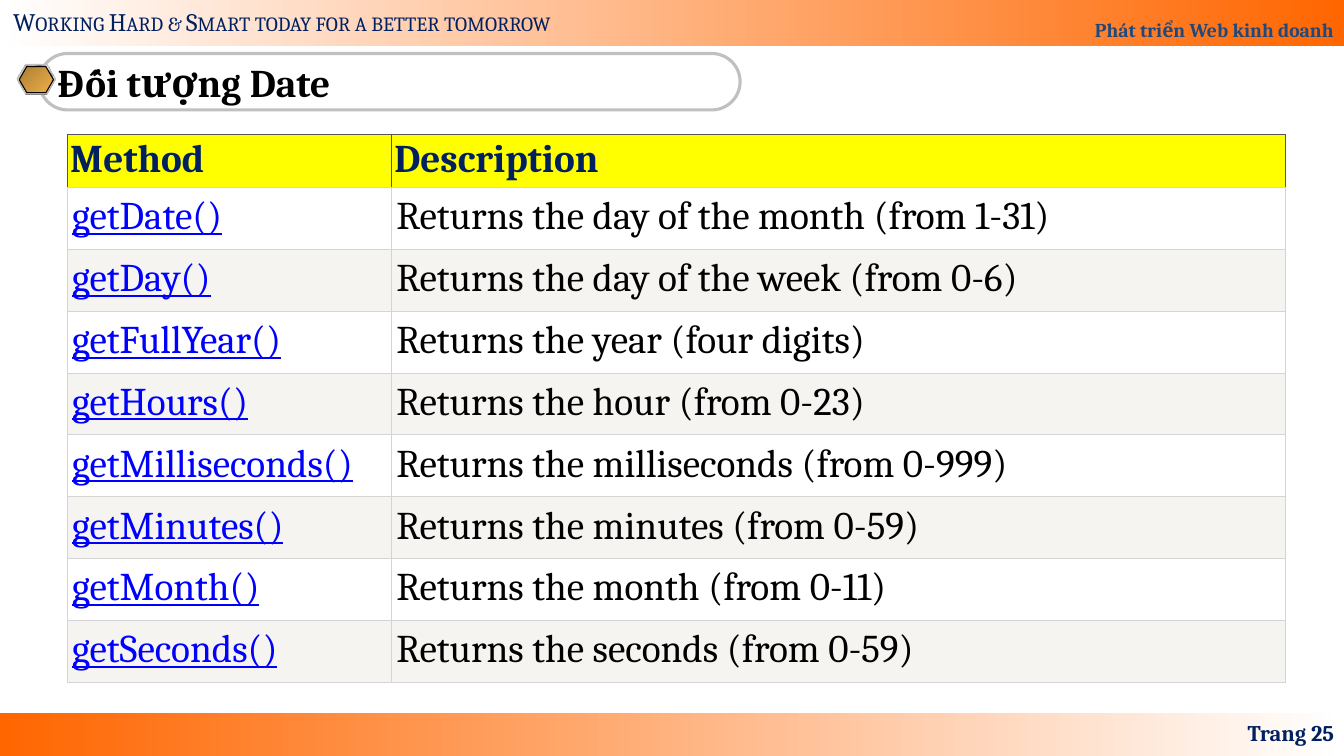
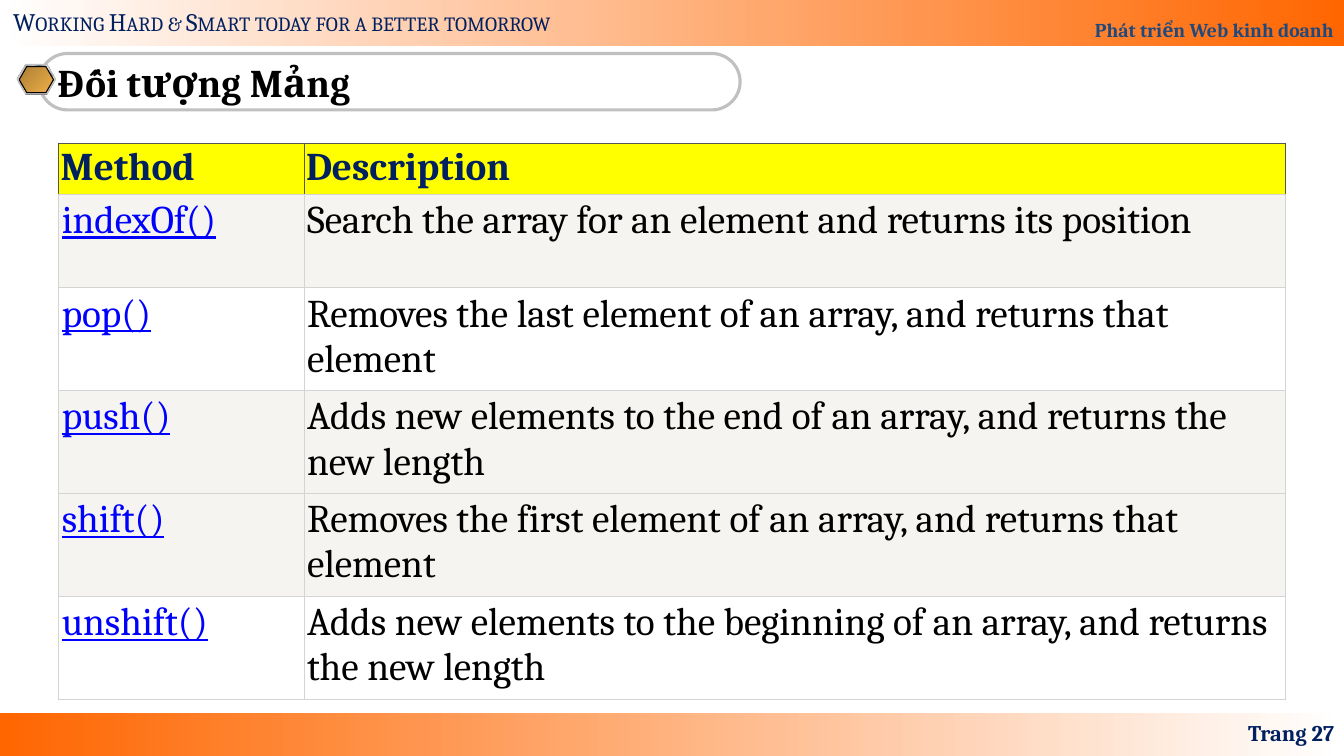
from pptx import Presentation
from pptx.dml.color import RGBColor
from pptx.enum.shapes import MSO_SHAPE as Preset
from pptx.enum.text import MSO_ANCHOR as Anchor, PP_ALIGN as Align
from pptx.oxml.ns import qn
from pptx.util import Inches, Pt
from lxml.etree import SubElement

SLIDE_WIDTH, SLIDE_HEIGHT = Inches(13.33), Inches(7.5)
FONT = "Cambria"
COLORS = {
    "white": "FFFFFF", "orange": "FF6600", "black": "000000",
    "navy": "002060", "blue": "1F497D", "link": "0000FF",
    "yellow": "FFFF00", "cream": "F6F4F0", "grid": "D4D4D4",
    "header_grid": "555555", "silver": "C0C0C0", "gray": "808080",
    "light_steel": "E6E6E6", "steel": "7D8496",
    "bronze": "AB7E34", "gold": "EFB049",
}
STEEL_STOPS = [
    (0, "light_steel"), (7, "steel"), (26, "light_steel"), (34, "steel"),
    (46, "light_steel"), (50, "white"), (54, "light_steel"), (66, "steel"),
    (74, "light_steel"), (93, "steel"), (100, "light_steel"),
]
DATE_METHODS = [
    ("getDate()", "Returns the day of the month (from 1-31)", "white"),
    ("getDay()", "Returns the day of the week (from 0-6)", "cream"),
    ("getFullYear()", "Returns the year (four digits)", "white"),
    ("getHours()", "Returns the hour (from 0-23)", "cream"),
    ("getMilliseconds()", "Returns the milliseconds (from 0-999)", "white"),
    ("getMinutes()", "Returns the minutes (from 0-59)", "cream"),
    ("getMonth()", "Returns the month (from 0-11)", "white"),
    ("getSeconds()", "Returns the seconds (from 0-59)", "cream"),
]
ARRAY_METHODS = [
    ("indexOf()", "Search the array for an element and returns its position", "cream"),
    ("pop()", "Removes the last element of an array, and returns that element", "white"),
    ("push()", "Adds new elements to the end of an array, and returns the new length", "cream"),
    ("shift()", "Removes the first element of an array, and returns that element", "cream"),
    ("unshift()", "Adds new elements to the beginning of an array, and returns the new length", "white"),
]


def color(name):
    return RGBColor.from_string(COLORS[name])


def across(percent):
    return round(SLIDE_WIDTH * percent / 100)


def down(percent):
    return round(SLIDE_HEIGHT * percent / 100)


def box(left, top, width, height):
    return across(left), down(top), across(width), down(height)


def add_run(paragraph, text, size, color_name, bold=False, underline=False):
    run = paragraph.add_run()
    run.text = text
    run.font.name = FONT
    run.font.size = Pt(size)
    run.font.bold = bold
    run.font.underline = underline
    run.font.color.rgb = color(color_name)
    return run


def fill_gradient(shape, stops, angle=0):
    shape.fill.gradient()
    shape.fill.gradient_angle = (360 - angle) % 360
    stop_list = shape.element.spPr.find(qn("a:gradFill")).find(qn("a:gsLst"))
    for stop in list(stop_list):
        stop_list.remove(stop)
    for position, name in stops:
        stop = SubElement(stop_list, qn("a:gs"), pos=str(position * 1000))
        SubElement(stop, qn("a:srgbClr"), val=COLORS[name])


def add_preset(shapes, preset, position, fill=None, line=None, width=0.75, angle=0):
    shape = shapes.add_shape(preset, *box(*position))
    shape.shadow.inherit = False
    if fill is None:
        shape.fill.background()
    elif isinstance(fill, str):
        shape.fill.solid()
        shape.fill.fore_color.rgb = color(fill)
    else:
        fill_gradient(shape, fill, angle)
    if line:
        shape.line.color.rgb = color(line)
        shape.line.width = Pt(width)
    else:
        shape.line.fill.background()
    return shape


def write_text(shape, text, size, color_name, align=Align.LEFT, anchor=Anchor.MIDDLE, bold=True):
    frame = shape.text_frame
    frame.word_wrap = True
    frame.vertical_anchor = anchor
    paragraph = frame.paragraphs[0]
    paragraph.alignment = align
    return paragraph, add_run(paragraph, text, size, color_name, bold)


def add_bands(slide):
    add_preset(slide.shapes, Preset.RECTANGLE, (0, 94.27, 100, 5.73),
               [(0, "orange"), (100, "white")])
    header = add_preset(slide.shapes, Preset.RECTANGLE, (0, 0, 100, 6.13),
                        [(0, "white"), (100, "orange")])
    paragraph, _ = write_text(header, "Phát triển Web kinh doanh", 14, "blue",
                              Align.RIGHT, Anchor.BOTTOM)
    paragraph.line_spacing = 1.8
    motto = slide.shapes.add_textbox(*box(0.23, 0.13, 44.24, 5.33))
    _, run = write_text(motto, "Working Hard & Smart today for a better tomorrow",
                        18, "navy", anchor=Anchor.TOP, bold=False)
    run.font._element.set("cap", "small")


def add_title(slide, title):
    shapes = slide.shapes.add_group_shape().shapes
    pill = add_preset(shapes, Preset.ROUNDED_RECTANGLE, (2.93, 7.07, 52.14, 7.47),
                      line="silver", width=2.25)
    pill.adjustments[0] = 0.5
    write_text(pill, title, 28, "black")
    for position, fill, line in [
        ((1.28, 8.67, 2.85, 3.87), "gray", None),
        ((1.28, 8.53, 2.85, 3.87), STEEL_STOPS, "silver"),
        ((1.43, 8.8, 2.55, 3.47), [(0, "bronze"), (100, "gold")], "black"),
    ]:
        hexagon = add_preset(shapes, Preset.HEXAGON, position, fill, line, angle=45)
        hexagon.adjustments[0] = 0.29


def add_page_number(slide, number):
    label = slide.shapes.add_textbox(*box(76.67, 94.27, 23.33, 5.33))
    write_text(label, f"Trang {number}", 16, "navy", Align.RIGHT)


def set_borders(cell, side_color, bottom_color):
    properties = cell._tc.get_or_add_tcPr()
    for side in "LRTB":
        name = bottom_color if side == "B" else side_color
        line = SubElement(properties, qn(f"a:ln{side}"), w=str(Pt(0.75)))
        solid = SubElement(line, qn("a:solidFill"))
        SubElement(solid, qn("a:srgbClr"), val=COLORS[name])


def write_cell(cell, text, fill, margins, color_name, border="grid", **style):
    side, end = (Inches(margin) for margin in margins)
    cell.margin_left = cell.margin_right = side
    cell.margin_top = cell.margin_bottom = end
    set_borders(cell, border, "grid")
    cell.fill.solid()
    cell.fill.fore_color.rgb = color(fill)
    add_run(cell.text_frame.paragraphs[0], text, 28, color_name, **style)


def add_method_table(slide, methods, corner, columns, rows, header_margins, body_margins):
    frame = slide.shapes.add_table(len(methods) + 1, 2,
                                   *box(*corner, sum(columns), sum(rows)))
    table = frame.table
    table.horz_banding = False
    for column, width in zip(table.columns, columns):
        column.width = across(width)
    for row, height in zip(table.rows, rows):
        row.height = down(height)
    for index, heading in enumerate(("Method", "Description")):
        write_cell(table.cell(0, index), heading, "yellow", header_margins,
                   "navy", border="header_grid", bold=True)
    for index, (method, description, fill) in enumerate(methods, 1):
        write_cell(table.cell(index, 0), method, fill, body_margins, "link", underline=True)
        write_cell(table.cell(index, 1), description, fill, body_margins, "black")


def add_method_slide(presentation, title, number, *table):
    slide = presentation.slides.add_slide(presentation.slide_layouts[6])
    add_bands(slide)
    add_title(slide, title)
    add_page_number(slide, number)
    add_method_table(slide, *table)


def main():
    presentation = Presentation()
    presentation.slide_width = SLIDE_WIDTH
    presentation.slide_height = SLIDE_HEIGHT
    add_method_slide(presentation, "Đối tượng Date", 25, DATE_METHODS,
                     (5, 17.78), (24.12, 66.5), [7] + [8.18] * 8,
                     (0.03, 0.03), (0.05, 0.07))
    add_method_slide(presentation, "Đối tượng Mảng", 27, ARRAY_METHODS,
                     (4.37, 18.93), (18.25, 73), [6.73, 12.4] + [13.6] * 4,
                     (0.02, 0.02), (0.03, 0.04))
    presentation.save("out.pptx")


if __name__ == "__main__":
    main()
